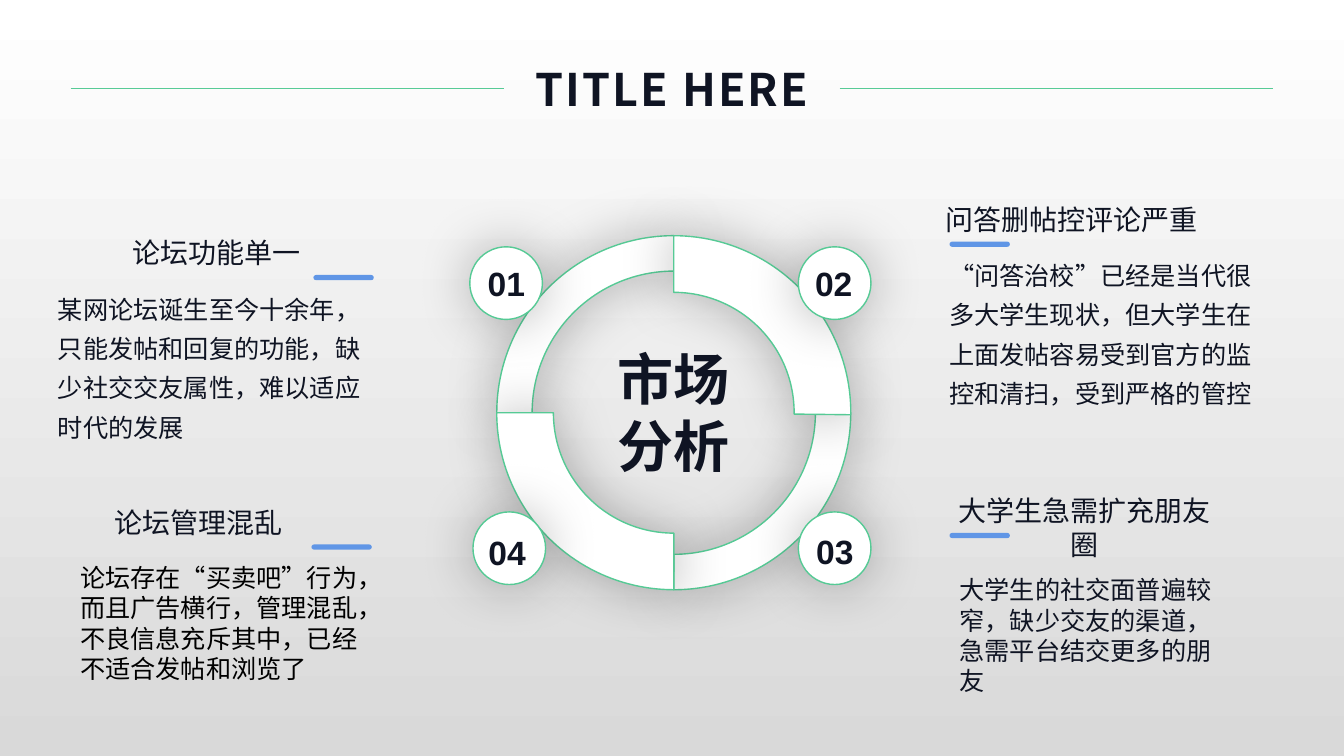
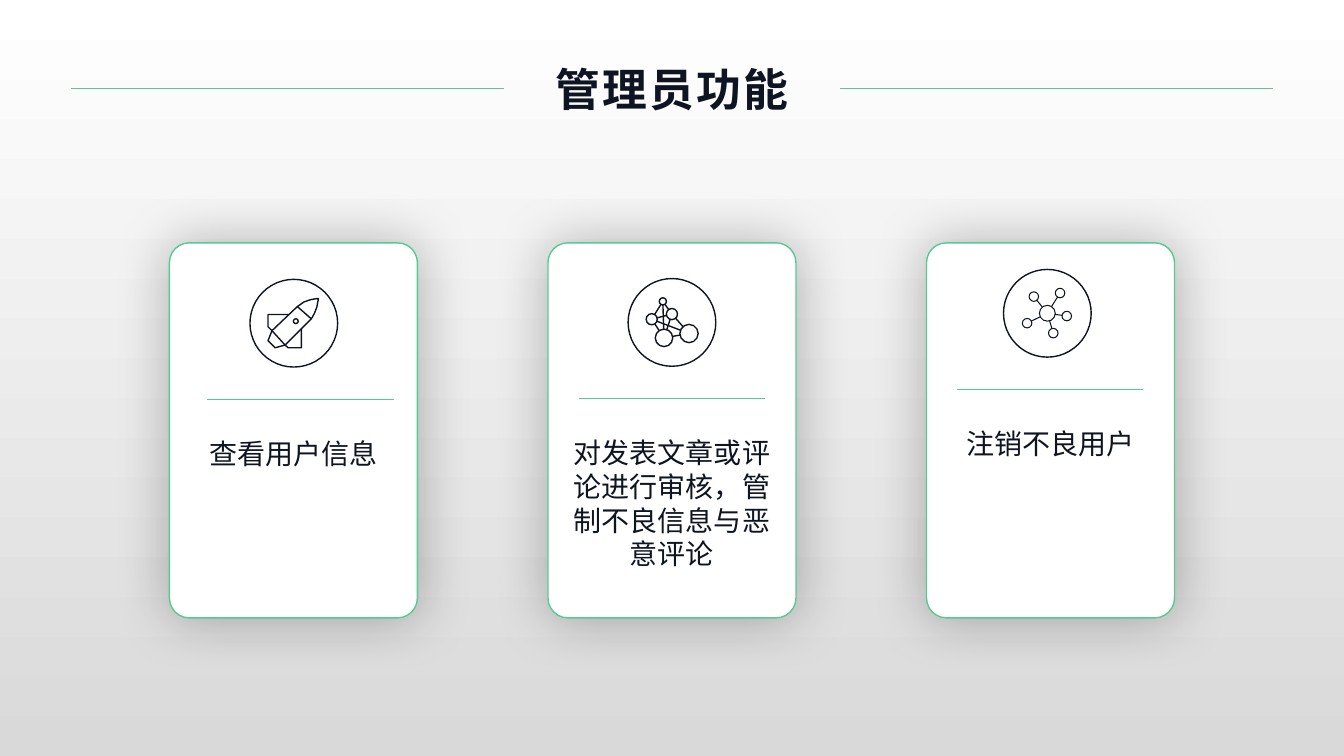
from math import cos, sin, pi, hypot

from lxml.etree import SubElement
from pptx import Presentation
from pptx.dml.color import RGBColor
from pptx.enum.shapes import MSO_CONNECTOR as CONN, MSO_SHAPE as SHAPE
from pptx.enum.text import PP_ALIGN as ALIGN
from pptx.oxml.ns import qn
from pptx.util import Cm, Pt

COLORS = {
    "ink": "0F1423", "black": "000000", "white": "FFFFFF", "fade": "D9D9D9",
    "accent": "56CA95", "bar": "6096E6",
}
CJK, LATIN = "Noto Sans CJK SC", "Arial"

# Ring arcs: rotation, end angle, thickness
ARCS = [(180, 162, 0.1), (0, 162, 0.1), (270, 162, 0.16), (90, 162.4, 0.16)]
# Badges: number, circle corner, number corner
BADGES = [("01", (11.84, 6.22), (12.04, 6.5)), ("02", (20.12, 6.22), (20.29, 6.5)),
          ("03", (20.12, 12.9), (20.32, 13.26)), ("04", (11.92, 12.9), (12.06, 13.28))]

# Topics: heading and its box, bar corner, body and its box, body style
TOPICS = [
    ("问答删帖控评论严重", (23.56, 4.98, 6.9, 1.12), (23.93, 6.09),
     "“问答治校”已经是当代很多大学生现状，但大学生在上面发帖容易受到官方的监控和清扫，受到严格的管控",
     (23.67, 6.21, 8.43, 4.24), {"spacing": 1.3}),
    ("大学生急需扩充朋友圈", (23.67, 12.32, 7.32, 1.96), (23.93, 13.43),
     "大学生的社交面普遍较窄，缺少交友的渠道，急需平台结交更多的朋友",
     (23.93, 14.36, 7.32, 3.33), {}),
    ("论坛功能单一", (1.21, 5.82, 8.51, 1.12), (7.9, 6.93),
     "某网论坛诞生至今十余年，只能发帖和回复的功能，缺少社交交友属性，难以适应时代的发展",
     (1.21, 7.06, 8.43, 4.24), {"spacing": 1.3}),
    ("论坛管理混乱", (0.35, 12.62, 9.32, 1.12), (7.85, 13.72),
     "论坛存在“买卖吧”行为，而且广告横行，管理混乱，不良信息充斥其中，已经不适合发帖和浏览了",
     (1.77, 14.05, 7.92, 3.33), {"font": LATIN, "color": "black"}),
]

# Icon geometry in cm from the icon centre; nodes are x, y, radius
NETWORK_NODES = [(-0.23, -0.53, 0.09), (-0.51, -0.08, 0.14), (-0.2, 0.39, 0.22),
                 (0, -0.21, 0.14), (0.43, 0.28, 0.23)]
NETWORK_LINKS = [(4, 2), (1, 3), (2, 3), (2, 1), (4, 1), (0, 1), (4, 3), (2, 0), (0, 3)]
HUB_NODES = [(0, 0, 0.2), (0.32, -0.51, 0.12), (-0.34, -0.42, 0.12),
             (-0.51, 0.25, 0.12), (0.15, 0.5, 0.12), (0.49, 0.07, 0.12)]
HUB_LINKS = [(0, i) for i in range(1, 6)]


# Basic elements
def rgb(name):
    return RGBColor.from_string(COLORS[name])


def add_run(p, text, size, color="ink", bold=False, font=CJK, tracking=0):
    r = p.add_run()
    r.text = text
    r.font.size, r.font.bold, r.font.name = Pt(size), bold, font
    r.font.color.rgb = rgb(color)
    rPr = r._r.get_or_add_rPr()
    SubElement(rPr, qn("a:ea")).set("typeface", CJK)
    if tracking:
        rPr.set("spc", str(tracking))


def add_text(s, box, text, size, align=ALIGN.LEFT, spacing=None, **style):
    tf = s.shapes.add_textbox(*map(Cm, box)).text_frame
    tf.word_wrap = True
    p = tf.paragraphs[0]
    p.alignment, p.line_spacing = align, spacing
    add_run(p, text, size, **style)


def add_line(s, x, y, length, width):
    line = s.shapes.add_connector(CONN.STRAIGHT, Cm(x), Cm(y), Cm(x + length), Cm(y))
    line.line.color.rgb, line.line.width = rgb("accent"), Pt(width)
    SubElement(line._element.spPr, qn("a:effectLst"))


def paint(sp, fill=None, line=None, width=1):
    sp.shadow.inherit = False
    if fill:
        sp.fill.solid()
        sp.fill.fore_color.rgb = rgb(fill)
    else:
        sp.fill.background()
    if line:
        sp.line.color.rgb, sp.line.width = rgb(line), Pt(width)
    else:
        sp.line.fill.background()


def add_shape(s, kind, box, adjust=(), **look):
    sp = s.shapes.add_shape(kind, *map(Cm, box))
    for i, value in enumerate(adjust):
        sp.adjustments[i] = value
    paint(sp, **look)
    return sp


def add_raised(s, kind, box, adjust=()):
    """White shape with a green edge and a soft shadow all round."""
    sp = add_shape(s, kind, box, adjust, fill="white", line="accent")
    effects = sp._element.spPr.find(qn("a:effectLst"))
    shadow = SubElement(effects, qn("a:outerShdw"), blurRad=str(Pt(40)), dist="0",
                        dir="0", algn="ctr", rotWithShape="0")
    color = SubElement(shadow, qn("a:srgbClr"), val=COLORS["black"])
    SubElement(color, qn("a:alpha"), val="28000")
    return sp


# Icon outlines: each is a list of contours
def circle(x, y, radius, steps=12):
    angles = [2 * pi * i / steps for i in range(steps + 1)]
    return [(x + radius * cos(a), y + radius * sin(a)) for a in angles]


def curve(*points, steps=4):
    """Sampled cubic Bézier curve through four control points."""
    def at(t):
        weights = ((1 - t) ** 3, 3 * t * (1 - t) ** 2, 3 * t * t * (1 - t), t ** 3)
        return tuple(sum(w * p[k] for w, p in zip(weights, points)) for k in (0, 1))
    return [at(i / steps) for i in range(steps + 1)]


def link(a, b):
    """Line between the edges of two nodes."""
    (ax, ay, ar), (bx, by, br) = a, b
    gap = hypot(bx - ax, by - ay)
    dx, dy = (bx - ax) / gap, (by - ay) / gap
    return [(ax + ar * dx, ay + ar * dy), (bx - br * dx, by - br * dy)]


def graph(nodes, links):
    return [circle(*n) for n in nodes] + [link(nodes[a], nodes[b]) for a, b in links]


def rocket():
    tip, left, right = (0.62, -0.62), (0.09, -0.42), (0.44, -0.11)
    tail_left, tail_right = (-0.55, 0.19), (-0.22, 0.55)
    body = (curve(tip, (0.6, -0.32), right, right)
            + [tail_right, (-0.47, 0.62), (-0.65, 0.44), tail_left]
            + curve(left, (0.29, -0.62), tip, tip))
    left_fin = [(-0.11, -0.22), (-0.65, -0.22), (-0.65, 0.09), tail_left]
    right_fin = [tail_left, tail_right, (-0.14, 0.62), (0.19, 0.62), (0.19, 0.14)]
    return [body, [left, right], left_fin, right_fin, circle(0.05, -0.05, 0.06)]


def add_icon(s, x, y, contours, width):
    """Outline icon inside a ring whose top left corner is x, y."""
    size = 2.21
    add_shape(s, SHAPE.OVAL, (x, y, size, size), line="ink")
    cx, cy = x + size / 2, y + size / 2
    paths = [[(Cm(cx + px), Cm(cy + py)) for px, py in c] for c in contours]
    builder = s.shapes.build_freeform(*paths[0][0], scale=1.0)
    for i, points in enumerate(paths):
        if i:
            builder.move_to(*points[0])
        builder.add_line_segments(points[1:], close=False)
    paint(builder.convert_to_shape(), line="ink", width=width)


# Shared frame
def set_background(prs):
    fill = prs.slide_master.background.fill
    fill.gradient()
    fill.gradient_angle = 270
    for stop, name in zip(fill.gradient_stops, ("white", "fade")):
        stop.color.rgb = rgb(name)


def add_slide(prs, title):
    s = prs.slides.add_slide(prs.slide_layouts[6])
    for x in (1.78, 21.16):
        add_line(s, x, 2.22, 10.92, 0.5)
    add_text(s, (12.7, 1.42, 8.46, 1.63), title, 32, ALIGN.CENTER, bold=True, tracking=150)
    return s


# Slide parts
def add_ring(s):
    for rotation, end, thickness in ARCS:
        arc = add_raised(s, SHAPE.BLOCK_ARC, (12.52, 5.94, 8.92, 8.92),
                         (107.98, end, thickness))
        arc.rotation = rotation
    add_text(s, (14.83, 8.55, 4.27, 3.68), "市场分析", 40, ALIGN.CENTER, bold=True)


def add_badge(s, number, corner, number_corner):
    add_raised(s, SHAPE.OVAL, (*corner, 1.83, 1.83))
    add_text(s, (*number_corner, 1.6, 1.27), number, 24, bold=True, font=LATIN)


def add_topic(s, heading, heading_box, bar, body, body_box, style):
    add_text(s, heading_box, heading, 20, ALIGN.CENTER)
    add_text(s, body_box, body, 18, **style)
    add_shape(s, SHAPE.ROUNDED_RECTANGLE, (*bar, 1.52, 0.13), [0.5], fill="bar")


def add_card(s, x, text, text_height, icon, icon_dx, icon_width, rule_dx, lift):
    add_raised(s, SHAPE.ROUNDED_RECTANGLE, (x, 6.12, 6.25, 9.45), [0.08])
    add_line(s, x + rule_dx, 10.06 - lift, 4.69, 1)
    add_text(s, (x + 0.2, 10.88 - lift, 5.85, text_height), text, 20, ALIGN.CENTER)
    add_icon(s, x + icon_dx, 7.04 - lift, icon, icon_width)


def main():
    prs = Presentation()
    prs.slide_width, prs.slide_height = Cm(33.87), Cm(19.05)
    set_background(prs)

    # Market analysis
    s = add_slide(prs, "TITLE HERE")
    add_ring(s)
    for badge in BADGES:
        add_badge(s, *badge)
    for topic in TOPICS:
        add_topic(s, *topic)

    # Administrator functions
    s = add_slide(prs, "管理员功能")
    cards = [
        ("查看用户信息", 1.12, rocket(), 2.03, 1, 0.96, 0),
        ("对发表文章或评论进行审核，管制不良信息与恶意评论", 3.68,
         graph(NETWORK_NODES, NETWORK_LINKS), 2.02, 1, 0.77, 0.02),
        ("注销不良用户", 1.12, graph(HUB_NODES, HUB_LINKS), 1.94, 0.75, 0.77, 0.25),
    ]
    for i, card in enumerate(cards):
        add_card(s, 4.27 + 9.54 * i, *card)

    prs.save("out.pptx")


if __name__ == "__main__":
    main()
